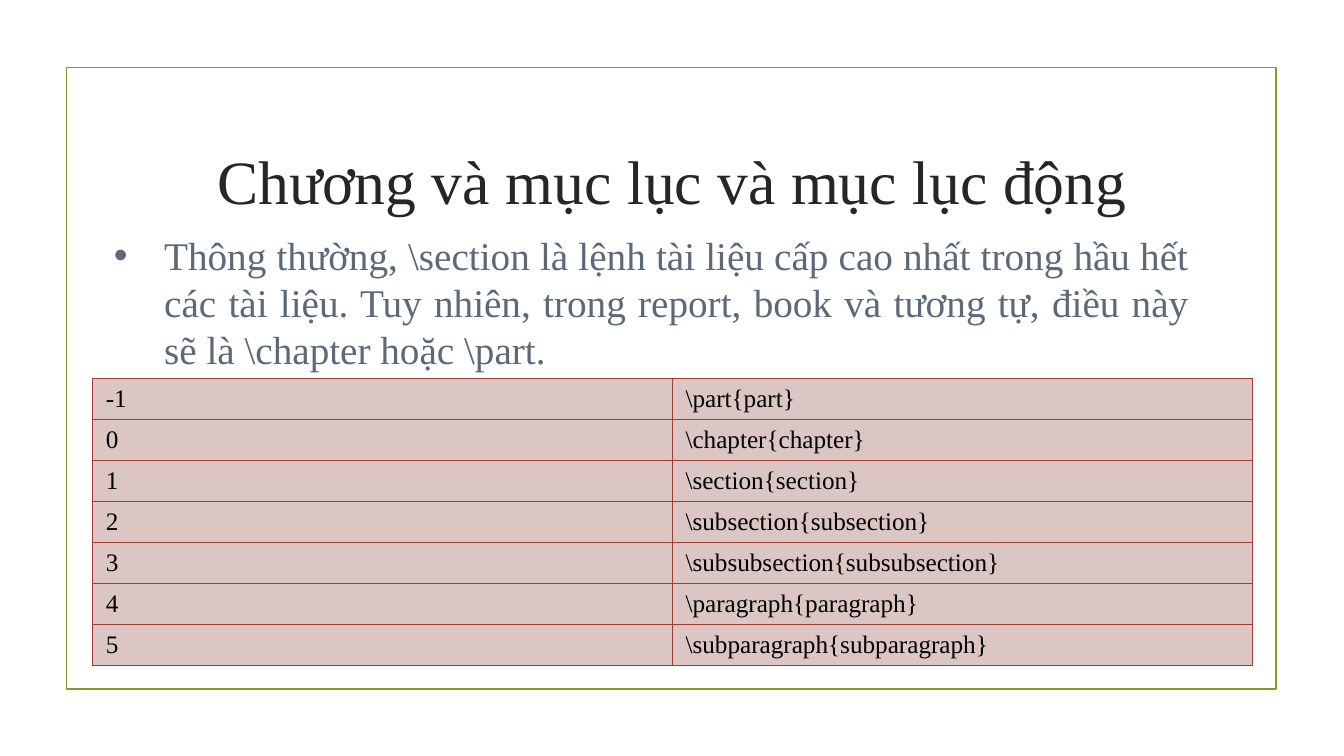
from dataclasses import dataclass

from lxml import etree
from pptx import Presentation, util as u
from pptx.dml.color import RGBColor
from pptx.enum import shapes, text
from pptx.oxml import ns

COLORS = {
    "frame": "83992A", "title": "262626", "body": "5D6879", "white": "FFFFFF",
    "cell": "DBC6C4", "border": "A23C33", "cell_text": "000000",
}
FONT = "Times New Roman"
WIDTH, HEIGHT = u.Inches(13.33), u.Inches(7.5)
BORDER_WIDTH = u.Pt(0.75)
CELL_FORMAT = {
    "margin_left": u.Inches(0.13), "margin_right": u.Inches(0.13),
    "margin_top": u.Inches(0.06), "margin_bottom": u.Inches(0.06),
    "vertical_anchor": text.MSO_ANCHOR.MIDDLE,
}
FRAME_FORMAT = {"word_wrap": True, "vertical_anchor": text.MSO_ANCHOR.MIDDLE}


@dataclass
class Area:
    """Percentages of the slide's width and height."""
    left: float
    top: float
    width: float
    height: float

    def box(self) -> tuple[int, ...]:
        return (int(WIDTH * self.left / 100), int(HEIGHT * self.top / 100),
                int(WIDTH * self.width / 100), int(HEIGHT * self.height / 100))


@dataclass
class Panel:
    area: Area
    fill: str | None = None
    line: str | None = None
    content: str = ""
    size: int = 18
    color: str = "body"
    align: text.PP_ALIGN = text.PP_ALIGN.LEFT
    bullet: bool = False


FRAME = Panel(Area(4.95, 8.93, 90.02, 82.27), line="frame")
TITLE = Panel(Area(10.65, 14.27, 78.77, 19.07), size=44, color="title",
              align=text.PP_ALIGN.CENTER,
              content="Chương và mục lục và mục lục động")
BODY = Panel(
    Area(7.73, 29.87, 81.47, 20.13), fill="white", size=28,
    align=text.PP_ALIGN.JUSTIFY, bullet=True,
    content="Thông thường, \\section là lệnh tài liệu cấp cao nhất trong hầu hết "
            "các tài liệu. Tuy nhiên, trong report, book và tương tự, điều này "
            "sẽ là \\chapter hoặc \\part.")
TABLE_AREA = Area(6.9, 50, 86.27, 38)
LEVELS = ["part", "chapter", "section", "subsection", "subsubsection",
          "paragraph", "subparagraph"]


def rgb(name: str) -> RGBColor:
    return RGBColor.from_string(COLORS[name])


def apply(target, values: dict) -> None:
    for name, value in values.items():
        setattr(target, name, value)


def write(p, content: str, size: int, color: str) -> None:
    r = p.add_run()
    r.text = content
    apply(r.font, {"name": FONT, "size": u.Pt(size)})
    r.font.color.rgb = rgb(color)


def add_bullet(p) -> None:
    pPr = p._p.get_or_add_pPr()
    pPr.set("marL", str(u.Inches(0.5)))
    pPr.set("indent", str(-u.Inches(0.5)))
    etree.SubElement(pPr, ns.qn("a:buFont"), typeface="Arial")
    etree.SubElement(pPr, ns.qn("a:buChar"), char="•")


def draw_panel(s, panel: Panel) -> None:
    sp = s.shapes.add_shape(shapes.MSO_SHAPE.RECTANGLE, *panel.area.box())
    sp.shadow.inherit = False
    if panel.fill:
        sp.fill.solid()
        sp.fill.fore_color.rgb = rgb(panel.fill)
    else:
        sp.fill.background()
    if panel.line:
        sp.line.color.rgb = rgb(panel.line)
        sp.line.width = u.Pt(1.25)
    else:
        sp.line.fill.background()
    if panel.content:
        tf = sp.text_frame
        apply(tf, FRAME_FORMAT)
        p = tf.paragraphs[0]
        p.alignment = panel.align
        if panel.bullet:
            add_bullet(p)
        write(p, panel.content, panel.size, panel.color)


def add_borders(cell) -> None:
    tcPr = cell._tc.get_or_add_tcPr()
    for i, side in enumerate(("lnL", "lnR", "lnT", "lnB")):
        ln = etree.Element(ns.qn(f"a:{side}"), w=str(BORDER_WIDTH))
        fill = etree.SubElement(ln, ns.qn("a:solidFill"))
        etree.SubElement(fill, ns.qn("a:srgbClr"), val=COLORS["border"])
        tcPr.insert(i, ln)


def draw_levels(s) -> None:
    table = s.shapes.add_table(len(LEVELS), 2, *TABLE_AREA.box()).table
    apply(table, {"first_row": False, "horz_banding": False})
    for row, level in enumerate(LEVELS):
        for col, content in enumerate((str(row - 1), f"\\{level}{{{level}}}")):
            cell = table.cell(row, col)
            apply(cell, CELL_FORMAT)
            cell.fill.solid()
            cell.fill.fore_color.rgb = rgb("cell")
            add_borders(cell)
            write(cell.text_frame.paragraphs[0], content, 18, "cell_text")


def main() -> None:
    prs = Presentation()
    apply(prs, {"slide_width": WIDTH, "slide_height": HEIGHT})
    s = prs.slides.add_slide(prs.slide_layouts[6])

    # Frame and title
    for panel in (FRAME, TITLE):
        draw_panel(s, panel)

    # Sectioning levels, then the explanation above them
    draw_levels(s)
    draw_panel(s, BODY)

    prs.save("out.pptx")


if __name__ == "__main__":
    main()
